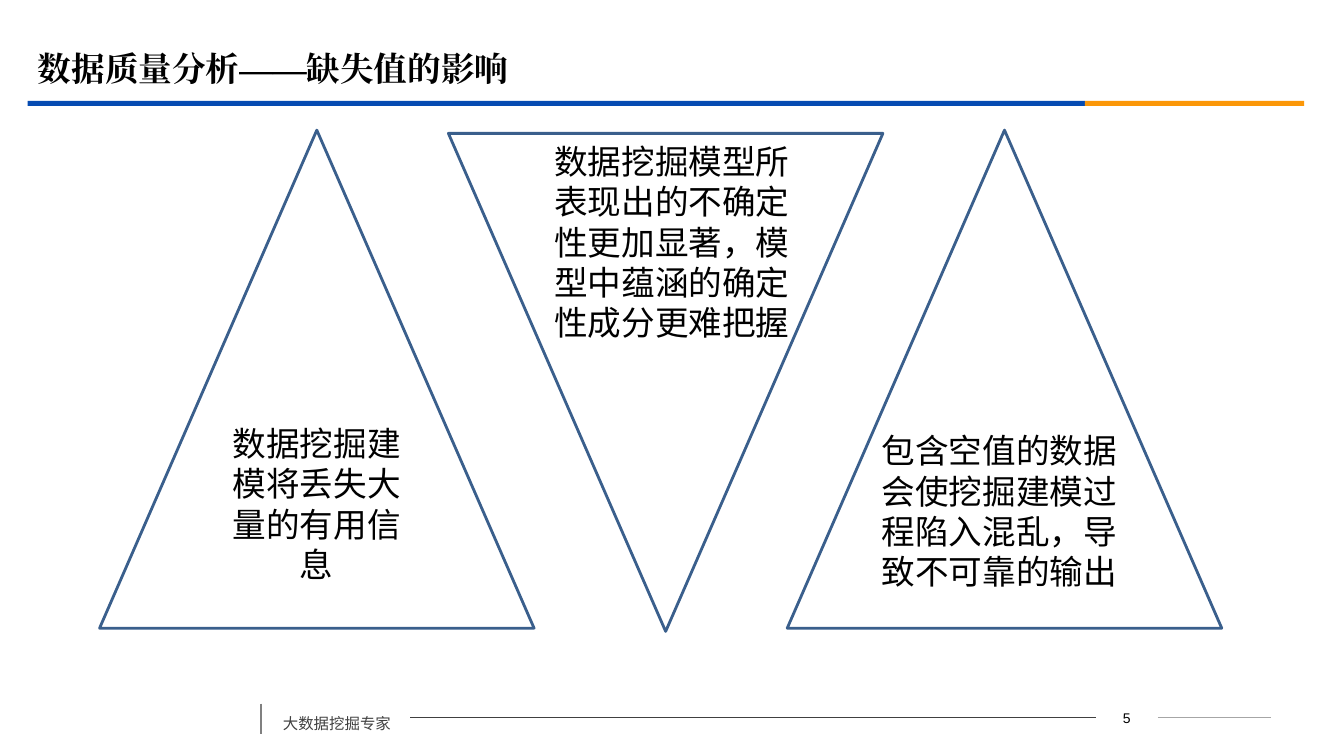
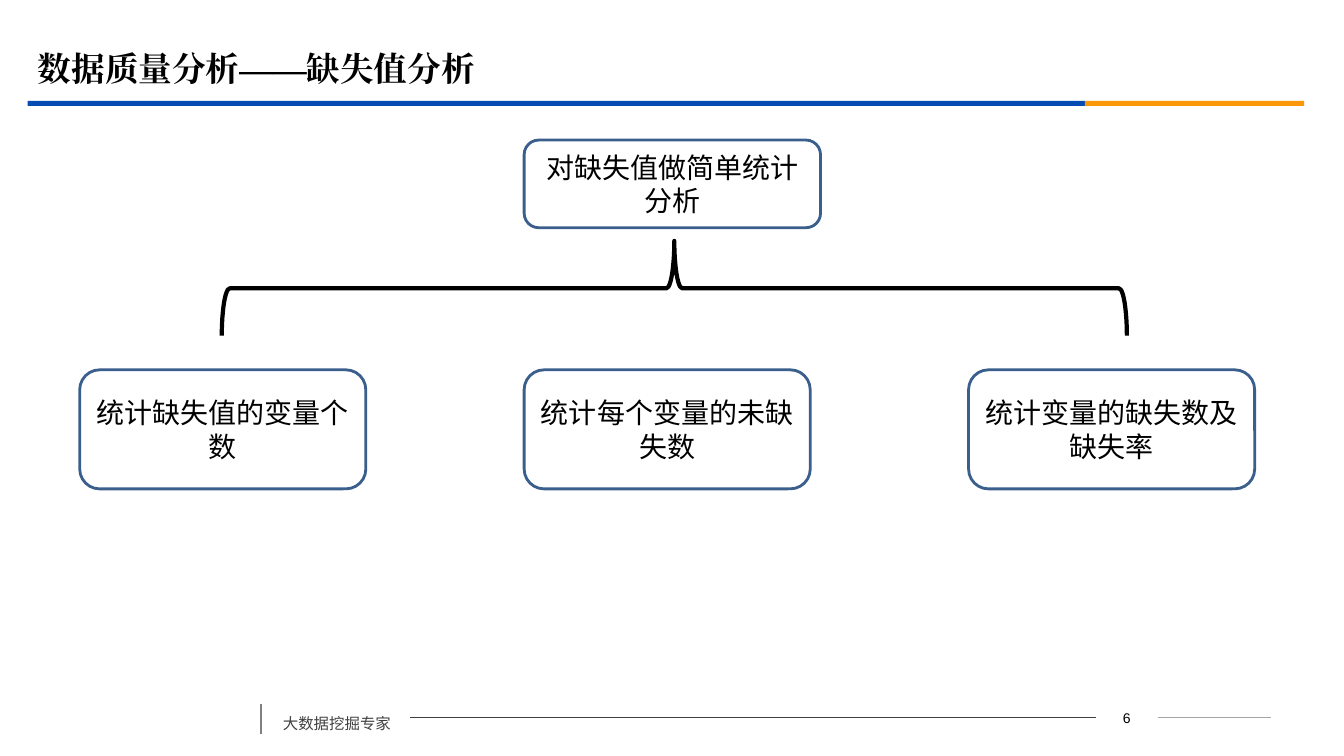
from pptx import Presentation
from pptx.dml.color import RGBColor
from pptx.enum import shapes, text
from pptx.oxml import ns, xmlchemy
from pptx.util import Cm, Pt

BLUE = RGBColor(0x06, 0x4B, 0xB2)
ORANGE = RGBColor(0xFB, 0x97, 0x08)
OUTLINE = RGBColor(0x3A, 0x5F, 0x8C)
BLACK = RGBColor(0, 0, 0)
DARK = RGBColor(0x40, 0x40, 0x40)
GREY = RGBColor(0x80, 0x80, 0x80)
SILVER = RGBColor(0xA6, 0xA6, 0xA6)

SANS = "Noto Sans CJK SC"
SHAPE = shapes.MSO_SHAPE
LEFT, CENTER = text.PP_ALIGN.LEFT, text.PP_ALIGN.CENTER
TOP, MIDDLE = text.MSO_ANCHOR.TOP, text.MSO_ANCHOR.MIDDLE


def write(tf, words, size=24, font=SANS, color=BLACK, bold=False,
          align=LEFT, anchor=TOP, leading=1.2):
    tf.word_wrap = True
    tf.auto_size = text.MSO_AUTO_SIZE.NONE
    tf.vertical_anchor = anchor
    p = tf.paragraphs[0]
    p.alignment = align
    if leading:
        p.line_spacing = Pt(size * leading)
    r = p.add_run()
    r.text = words
    r.font.name = font
    r.font.size = Pt(size)
    r.font.bold = bold
    r.font.color.rgb = color
    ea = xmlchemy.OxmlElement("a:ea")
    ea.set("typeface", font)
    r.font._element.find(ns.qn("a:latin")).addnext(ea)


def add_text(s, left, top, width, height, words, **fmt):
    box = s.shapes.add_textbox(Cm(left), Cm(top), Cm(width), Cm(height))
    write(box.text_frame, words, **fmt)


def add_shape(s, kind, left, top, width, height, fill=None, line=OUTLINE, weight=2):
    sp = s.shapes.add_shape(kind, Cm(left), Cm(top), Cm(width), Cm(height))
    sp.shadow.inherit = False
    if fill is None:
        sp.fill.background()
        sp.line.color.rgb = line
        sp.line.width = Pt(weight)
    else:
        sp.fill.solid()
        sp.fill.fore_color.rgb = fill
        sp.line.fill.background()
    return sp


def add_line(s, x1, y1, x2, y2, color, weight=0.75):
    line = s.shapes.add_connector(
        shapes.MSO_CONNECTOR.STRAIGHT, Cm(x1), Cm(y1), Cm(x2), Cm(y2))
    line.line.color.rgb = color
    line.line.width = Pt(weight)
    line._element.spPr.append(xmlchemy.OxmlElement("a:effectLst"))


def header(s, title, left, top, width):
    ph = s.shapes.title
    ph.left, ph.top, ph.width, ph.height = Cm(left), Cm(top), Cm(30.48), Cm(1.47)
    write(ph.text_frame, title, font="Times New Roman", bold=True,
          anchor=MIDDLE, leading=None)
    blue_width = 26.64
    bar_top = top + 1.55
    add_shape(s, SHAPE.RECTANGLE, left, bar_top, blue_width, 0.13, fill=BLUE)
    add_shape(s, SHAPE.RECTANGLE, left + blue_width, bar_top,
              width - blue_width, 0.13, fill=ORANGE)


def footer(s, number, left, top, width):
    rule = top + 0.35
    add_line(s, left, top, left, top + 0.76, GREY, 1.25)
    add_text(s, left + 0.3, top - 0.1, 3.45, 0.97, "大数据挖掘专家",
             size=11, color=DARK, leading=1.8)
    add_line(s, left + 3.76, rule, left + 21.03, rule, DARK)
    add_text(s, left + 21.03, top + 0.02, 1.57, 0.64, str(number),
             size=10, font="Arial", align=CENTER, leading=None)
    add_line(s, left + 22.6, rule, left + width, rule, SILVER)


def add_slide(prs, title, number):
    s = prs.slides.add_slide(prs.slide_layouts[5])
    header(s, title, 0.7, 0.99, 32.17)
    footer(s, number, 6.58, 17.73, 25.45)
    return s


def effects(s, left, top):
    width, height = 10.95, 12.55
    first, middle, last = [
        add_shape(s, SHAPE.ISOSCELES_TRIANGLE, left + dx, top + dy, width, height)
        for dx, dy in ((0, 0), (8.79, 0.08), (17.33, 0))]
    middle.rotation = 180
    write(first.text_frame, "数据挖掘建模将丢失大量的有用信息",
          align=CENTER, anchor=MIDDLE)
    add_text(s, left + 11.21, top + 0.15, 6.96, 5.44,
             "数据挖掘模型所表现出的不确定性更加显著，模型中蕴涵的确定性成分更难把握")
    add_text(s, left + 19.46, top + 7.44, 6.96, 4.39,
             "包含空值的数据会使挖掘建模过程陷入混乱，导致不可靠的输出")


def node(s, left, top, width, height, words):
    sp = add_shape(s, SHAPE.ROUNDED_RECTANGLE, left, top, width, height)
    write(sp.text_frame, words, size=20, align=CENTER, anchor=MIDDLE)


def brace_up(s, left, top, width, height):
    sp = add_shape(s, SHAPE.RIGHT_BRACE, left + (width - height) / 2,
                   top + (height - width) / 2, height, width, line=BLACK, weight=3)
    sp.rotation = 270


def analysis_tree(s, left, top, root, leaves):
    step = 11.2
    node(s, left + step, top, 7.47, 2.21, root)
    brace_up(s, left + 3.58, top + 2.54, 22.81, 2.39)
    for i, words in enumerate(leaves):
        node(s, left + i * step, top + 5.79, 7.21, 3, words)


def main():
    prs = Presentation()
    prs.slide_width, prs.slide_height = Cm(33.87), Cm(19.05)
    effects(add_slide(prs, "数据质量分析——缺失值的影响", 5), 2.51, 3.28)
    analysis_tree(
        add_slide(prs, "数据质量分析——缺失值分析", 6), 2.01, 3.53,
        "对缺失值做简单统计分析",
        ["统计缺失值的变量个数", "统计每个变量的未缺失数", "统计变量的缺失数及缺失率"])
    prs.save("out.pptx")


if __name__ == "__main__":
    main()
